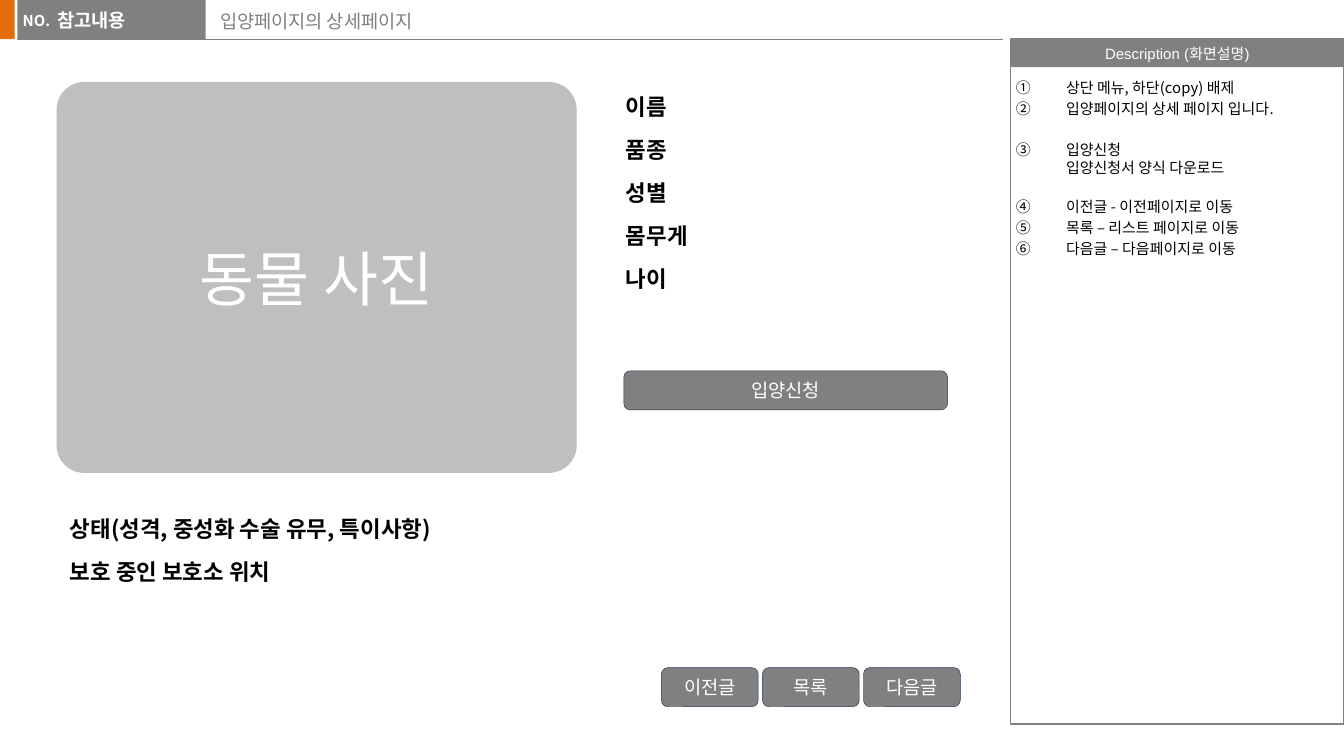
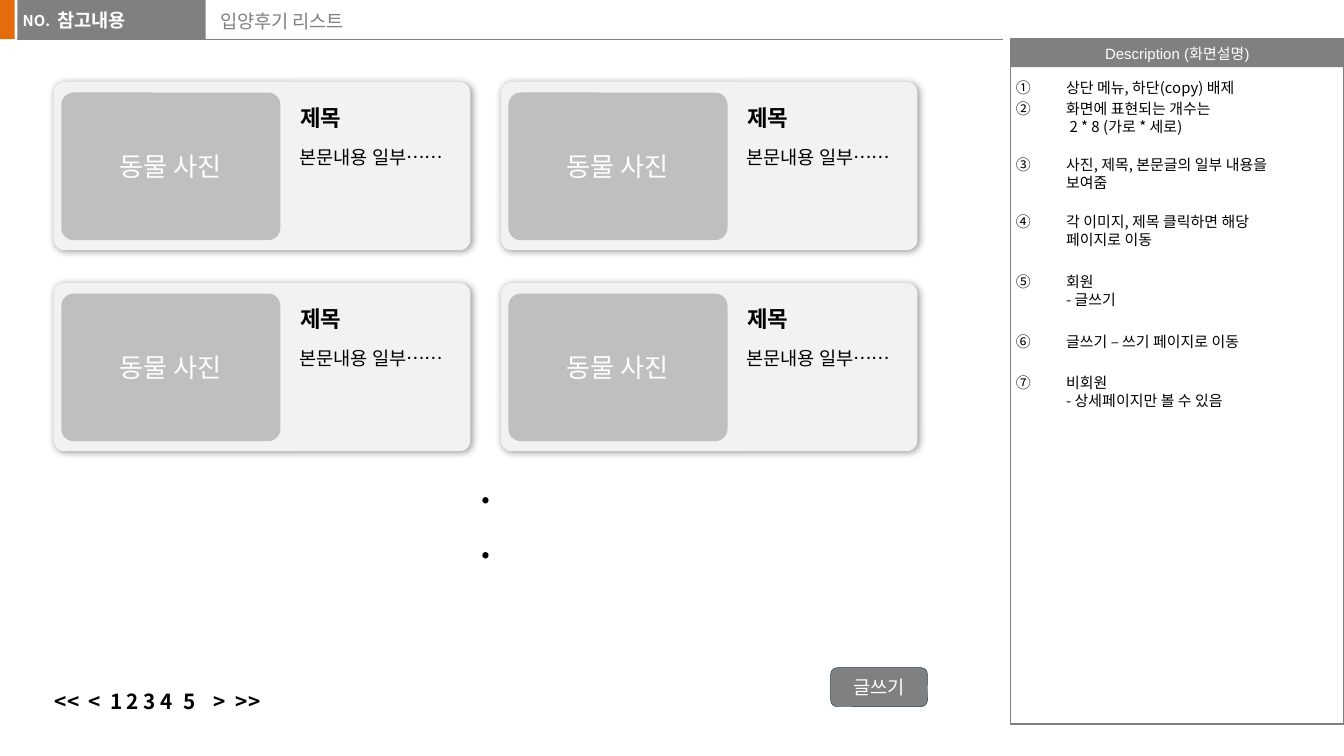
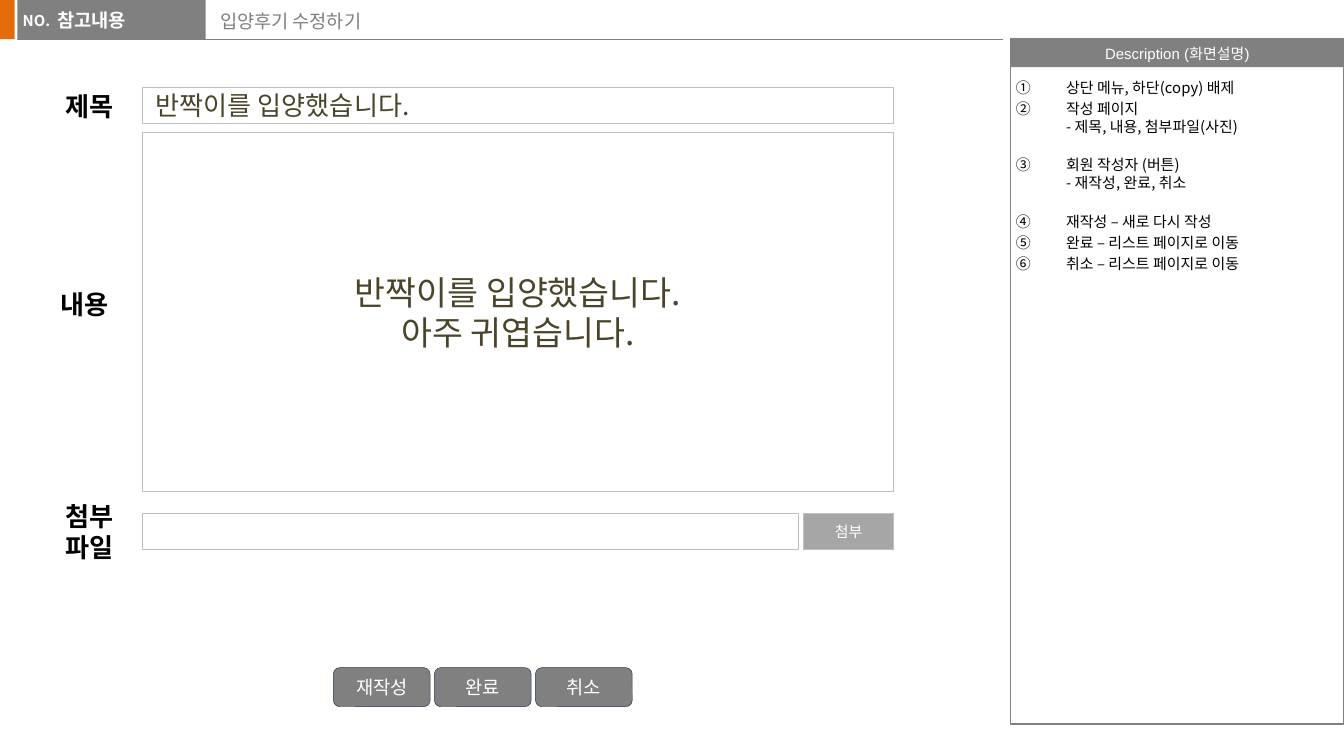
import copy

import lxml.etree
import pptx
import pptx.dml.color
import pptx.enum.shapes
import pptx.enum.text
import pptx.oxml.ns
import pptx.util

Cm, Pt = pptx.util.Cm, pptx.util.Pt
qn = pptx.oxml.ns.qn
KIND = pptx.enum.shapes.MSO_SHAPE
ANCHOR = pptx.enum.text.MSO_ANCHOR
ALIGN = pptx.enum.text.PP_ALIGN

FONT = "Noto Sans CJK KR"
WHITE, BLACK, ORANGE, OLIVE = "FFFFFF", "000000", "E46C0A", "4A452A"
GRAY, MID, SILVER, PALE, NAVY = "808080", "A6A6A6", "BFBFBF", "F2F2F2", "233953"

LEAD = 1.2            # line height as a multiple of the text size
BREAK, BLANK = 9.6, 11.2  # extra space after a note, in points
BAR = 0.74            # height of the top band and of a button
NOTE_X, NOTE_W = 19.1, 6.3
BUTTON_W, BUTTON_Y, BUTTON_STEP = 1.83, 12.62, 1.91

# Notes: text and the extra space that follows it
DETAIL = [
    ("상단 메뉴, 하단(copy) 배제", 0),
    ("입양페이지의 상세 페이지 입니다.", BLANK),
    ("입양신청\n입양신청서 양식 다운로드", BREAK),
    ("이전글 - 이전페이지로 이동", 0),
    ("목록 – 리스트 페이지로 이동", 0),
    ("다음글 – 다음페이지로 이동", 0),
]
REVIEWS = [
    ("상단 메뉴, 하단(copy) 배제", 0),
    ("화면에 표현되는 개수는\n 2 * 8 (가로 * 세로)", BREAK),
    ("사진, 제목, 본문글의 일부 내용을\n보여줌", BREAK),
    ("각 이미지, 제목 클릭하면 해당\n페이지로 이동", BLANK),
    ("회원\n- 글쓰기", BLANK),
    ("글쓰기 – 쓰기 페이지로 이동", BLANK),
    ("비회원\n- 상세페이지만 볼 수 있음", 0),
]
EDIT = [
    ("상단 메뉴, 하단(copy) 배제", 0),
    ("작성 페이지\n- 제목, 내용, 첨부파일(사진)", BREAK),
    ("회원 작성자 (버튼)\n- 재작성, 완료, 취소", BREAK),
    ("재작성 – 새로 다시 작성", 0),
    ("완료 – 리스트 페이지로 이동", 0),
    ("취소 – 리스트 페이지로 이동", 0),
]
TRAITS = ["이름", "품종", "성별", "몸무게", "나이"]
STATE = ["상태(성격, 중성화 수술 유무, 특이사항)", "보호 중인 보호소 위치"]
PAGES = ["<<", "<", "1", "2", "3", "4", "5", ">", ">>"]
PAGE_TABS = [0.64, 1.04, 1.36, 1.68, 2, 2.42, 3, 3.42]
LABELS = [
    (["제목"], (0.99, 1.57, 3.63, 0.86)),
    (["내용"], (0.89, 5.33, 3.63, 0.86)),
    (["첨부", "파일"], (0.99, 9.32, 1.52, 1.45)),
]
FIELDS = [
    (["반짝이를 입양했습니다."], (2.69, 1.65, 14.2, 0.69), WHITE,
     dict(size=14, color=OLIVE, align="LEFT")),
    (["반짝이를 입양했습니다.", "아주 귀엽습니다."], (2.69, 2.51, 14.2, 6.78), WHITE,
     dict(size=18, color=OLIVE)),
    ([], (2.69, 9.7, 12.4, 0.69), WHITE, {}),
    (["첨부"], (15.19, 9.7, 1.7, 0.69), MID, dict(size=8)),
]


def rgb(code):
    return pptx.dml.color.RGBColor.from_string(code)


def add_xml(node, tag, **attrs):
    return lxml.etree.SubElement(node, qn(tag), attrs)


def write(shape, lines, size=10, color=WHITE, bold=False, font=FONT, align="LEFT",
          anchor="TOP", inset=(0.25, 0.13), lead=LEAD, before=0):
    """Fill a shape with one paragraph per line; a newline is a soft break."""
    frame = shape.text_frame
    frame.word_wrap = True
    frame.auto_size = pptx.enum.text.MSO_AUTO_SIZE.NONE
    frame.vertical_anchor = ANCHOR[anchor]
    frame.margin_left = frame.margin_right = Cm(inset[0])
    frame.margin_top = frame.margin_bottom = Cm(inset[1])
    for i, line in enumerate(lines):
        para = frame.add_paragraph() if i else frame.paragraphs[0]
        para.text = line
        para.alignment = ALIGN[align]
        para.line_spacing = Pt(round(size * lead, 1))
        para.space_before = Pt(before)
        for run in para.runs:
            run.font.size, run.font.bold = Pt(size), bold
            run.font.color.rgb = rgb(color)
            run.font.name = font
            add_xml(run._r.rPr, "a:ea", typeface=FONT)
        for br in para._p.findall(qn("a:br")):
            br.insert(0, copy.deepcopy(para.runs[0]._r.rPr))
    return frame.paragraphs


def text(shapes, lines, box, **form):
    return write(shapes.add_textbox(*map(Cm, box)), lines, **form)


def block(shapes, box, fill=None, line=None, width=0.5, lines=(), kind="RECTANGLE",
          corner=None, **form):
    shape = shapes.add_shape(KIND[kind], *map(Cm, box))
    shape.shadow.inherit = False
    if corner:
        shape.adjustments[0] = corner
    if fill:
        shape.fill.solid()
        shape.fill.fore_color.rgb = rgb(fill)
    else:
        shape.fill.background()
    if line:
        shape.line.color.rgb = rgb(line)
        shape.line.width = Pt(width)
    else:
        shape.line.fill.background()
    if lines:
        write(shape, lines, **{"align": "CENTER", "anchor": "MIDDLE", **form})
    return shape


def button(shapes, name, x, y=BUTTON_Y, w=BUTTON_W):
    block(shapes, (x, y, w, BAR), GRAY, NAVY, 0.25, [name], "ROUNDED_RECTANGLE")


def buttons(shapes, names, x):
    for i, name in enumerate(names):
        button(shapes, name, x + i * BUTTON_STEP)


def photo(shapes, box, corner, size):
    block(shapes, box, SILVER, lines=["동물 사진"], kind="ROUNDED_RECTANGLE",
          corner=corner, size=size)


def list_notes(shapes, notes):
    paras = text(shapes, [note for note, _ in notes], (NOTE_X, 1.35, NOTE_W, 12.4),
                 size=8, color=BLACK, inset=(0.1, 0.13), before=1.6)
    for para, (_, gap) in zip(paras, notes):
        para.space_after = Pt(gap)
        props = para._p.get_or_add_pPr()
        props.set("marL", str(Cm(0.95)))
        props.set("indent", str(-Cm(0.95)))
        add_xml(props, "a:buFont", typeface=FONT)
        add_xml(props, "a:buAutoNum", type="circleNumDbPlain")


def start(deck, title, notes):
    """Add a slide with the top band, title and note panel; return its shapes."""
    shapes = deck.slides.add_slide(deck.slide_layouts[5]).shapes
    head = shapes.title
    head.left, head.top, head.width, head.height = map(Cm, (3.91, 0.05, 15.01, 0.81))
    write(head, [title], color=GRAY)
    block(shapes, (-0.02, 0, 0.3, BAR), ORANGE)
    rule = shapes.add_connector(pptx.enum.shapes.MSO_CONNECTOR.STRAIGHT,
                                Cm(0.33), Cm(BAR), Cm(18.95), Cm(BAR))
    rule.line.color.rgb, rule.line.width = rgb(GRAY), Pt(0.5)
    add_xml(rule._element.spPr, "a:effectLst")
    block(shapes, (0.33, 0, 3.56, BAR), GRAY)
    text(shapes, ["NO."], (0.18, 0.08, 1.04, 0.61), size=8, bold=True)
    text(shapes, ["참고내용"], (1.09, 0.03, 2.21, 0.79), font="Arial", bold=True,
         inset=(0, 0.13))
    block(shapes, (NOTE_X, BAR, NOTE_W, 0.53), GRAY, lines=["Description (화면설명)"],
          size=8, font="Arial", inset=(0.23, 0.1))
    block(shapes, (NOTE_X, BAR, NOTE_W, 12.95), line=GRAY, width=0.75)
    list_notes(shapes, notes)
    return shapes


def card(shapes, x, y):
    parts = shapes.add_group_shape().shapes
    base = block(parts, (x, y, 7.87, 3.18), PALE, kind="ROUNDED_RECTANGLE", corner=0.064)
    effects = base._element.spPr.find(qn("a:effectLst"))
    shade = add_xml(effects, "a:outerShdw", blurRad=str(Pt(4)), dist=str(Pt(1)),
                    dir="2700000", algn="tl", rotWithShape="0")
    add_xml(add_xml(shade, "a:srgbClr", val=BLACK), "a:alpha", val="40000")
    photo(parts, (x + 0.14, y + 0.2, 4.14, 2.79), 0.083, 14)
    text(parts, ["제목"], (x + 3.23, y + 0.28, 3.63, 0.76), size=12, color=BLACK,
         bold=True, align="CENTER")
    text(parts, ["본문내용 일부……"], (x + 4.39, y + 0.64, 3.89, 1.12), color=BLACK,
         anchor="BOTTOM")


def detail_slide(deck):
    shapes = start(deck, "입양페이지의 상세페이지", DETAIL)
    form = dict(size=12, color=BLACK, bold=True, lead=0.9 * LEAD, before=10)
    text(shapes, TRAITS, (11.58, 1.68, 4.6, 5.99), **form)
    photo(shapes, (1.07, 1.55, 9.83, 7.39), 0.071, 32)
    text(shapes, STATE, (1.07, 9.65, 15.67, 2.03), **form)
    buttons(shapes, ["이전글", "목록", "다음글"], 12.5)
    button(shapes, "입양신청", 11.79, 7.01, 6.12)


def review_slide(deck):
    shapes = start(deck, "입양후기 리스트", REVIEWS)
    for i in range(4):
        row, col = divmod(i, 2)
        card(shapes, 1.02 + col * 8.45, 1.55 + row * 3.8)
    text(shapes, [".", "."], (1.93, 8.84, 14.5, 1.55), size=18, color=BLACK, bold=True,
         align="CENTER", lead=0.9 * LEAD, before=10)
    pager = text(shapes, ["\t".join(PAGES)], (0.79, 12.98, 14.5, 0.64), size=11.1,
                 color=BLACK, bold=True, lead=0.8 * LEAD)[0]
    tabs = add_xml(pager._p.get_or_add_pPr(), "a:tabLst")
    for stop in PAGE_TABS:
        add_xml(tabs, "a:tab", pos=str(Cm(stop)), algn="l")
    button(shapes, "글쓰기", 15.7)


def edit_slide(deck):
    shapes = start(deck, "입양후기 수정하기", EDIT)
    for lines, box in LABELS:
        text(shapes, lines, box, size=14, color=BLACK, bold=True)
    for lines, box, fill, form in FIELDS:
        block(shapes, box, fill, SILVER, lines=lines, **form)
    buttons(shapes, ["재작성", "완료", "취소"], 6.3)


def main():
    deck = pptx.Presentation()
    deck.slide_width, deck.slide_height = Cm(25.4), Cm(14.29)
    detail_slide(deck)
    review_slide(deck)
    edit_slide(deck)
    deck.save("out.pptx")


if __name__ == "__main__":
    main()
